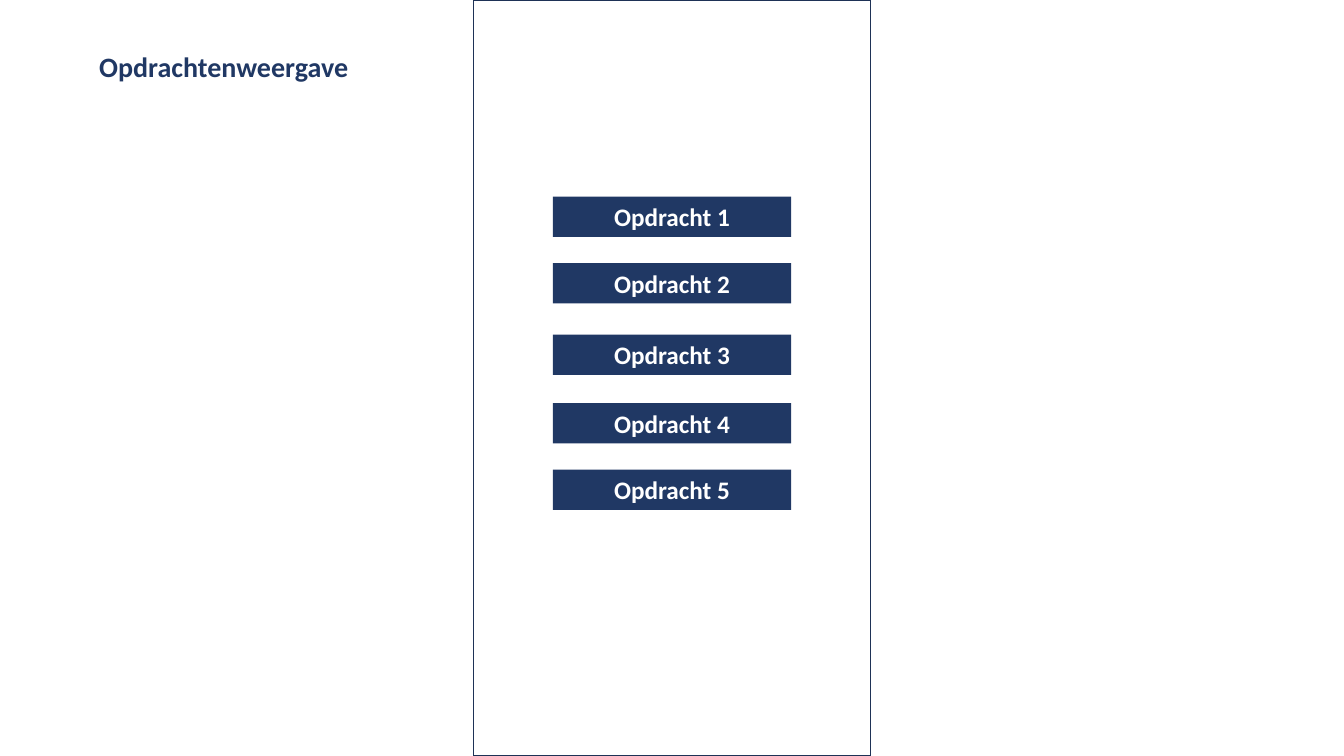
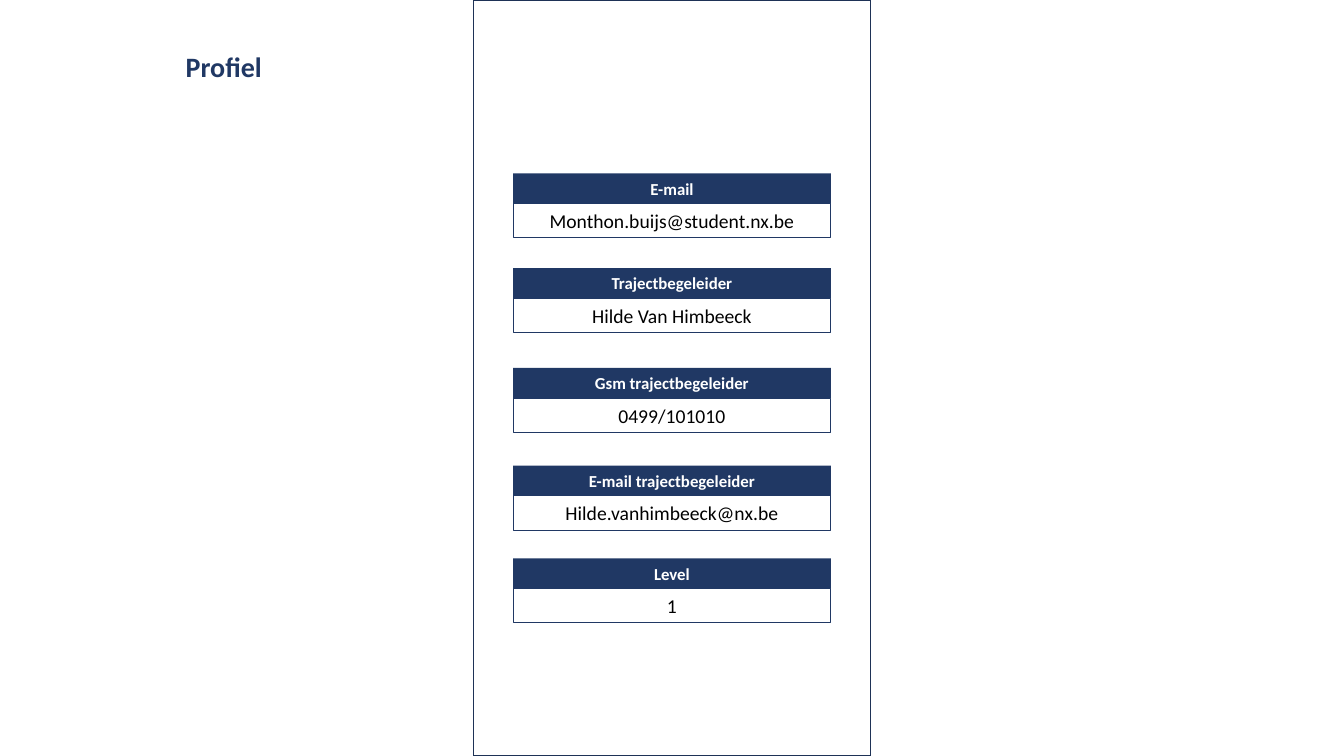
from pptx import Presentation
from pptx.dml.color import RGBColor
from pptx.enum.shapes import MSO_SHAPE
from pptx.enum.text import MSO_ANCHOR, PP_ALIGN
from pptx.util import Inches, Pt

RECT = MSO_SHAPE.RECTANGLE
CENTER = PP_ALIGN.CENTER
MIDDLE = MSO_ANCHOR.MIDDLE

# Content: each entry starts with its top in inches
ASSIGNMENTS = [
    (1.95, "Opdracht 1"),
    (2.61, "Opdracht 2"),
    (3.32, "Opdracht 3"),
    (4.00, "Opdracht 4"),
    (4.66, "Opdracht 5"),
]
PROFILE = [
    (1.72, "E-mail", "Monthon.buijs@student.nx.be"),
    (2.66, "Trajectbegeleider", "Hilde Van Himbeeck"),
    (3.65, "Gsm trajectbegeleider", "0499/101010"),
    (4.62, "E-mail trajectbegeleider", "Hilde.vanhimbeeck@nx.be"),
    (5.54, "Level", "1"),
]

# Shared style
COLORS = {"navy": "203864", "frame": "1E3256", "white": "FFFFFF", "black": "000000"}
FONT = "Calibri"
SLIDE_W, SLIDE_H = 13.33, 7.5
SCREEN_W = 3.94
BUTTON_W, BUTTON_H = SCREEN_W * 0.6, 0.4
FIELD_W, LABEL_H, VALUE_H = SCREEN_W * 0.8, 0.3, 0.34


def color(name):
    return RGBColor.from_string(COLORS[name])


def add_text(sp, text, size, ink, bold=False):
    tf = sp.text_frame
    tf.word_wrap = True
    tf.vertical_anchor = MIDDLE
    p = tf.paragraphs[0]
    p.alignment = CENTER
    r = p.add_run()
    r.text = text
    r.font.name = FONT
    r.font.size = Pt(size)
    r.font.bold = bold
    r.font.color.rgb = color(ink)


def add_box(shapes, top, width, height, fill=None, line=None, weight=0.75):
    """Add a rectangle centred across the slide."""
    left = (SLIDE_W - width) / 2
    sp = shapes.add_shape(RECT, Inches(left), Inches(top), Inches(width), Inches(height))
    sp.shadow.inherit = False
    if fill:
        sp.fill.solid()
        sp.fill.fore_color.rgb = color(fill)
    else:
        sp.fill.background()
    if line:
        sp.line.color.rgb = color(line)
        sp.line.width = Pt(weight)
    else:
        sp.line.fill.background()
    return sp


def add_screen(prs, title):
    """Add a slide with the phone screen frame and its title."""
    s = prs.slides.add_slide(prs.slide_layouts[6])
    add_box(s.shapes, 0, SCREEN_W, SLIDE_H, line="frame", weight=1)
    sp = s.shapes.add_textbox(Inches(0.55), Inches(0.44), Inches(3.34), Inches(0.44))
    add_text(sp, title, 20, "navy", bold=True)
    return s


def add_assignments(prs):
    s = add_screen(prs, "Opdrachtenweergave")
    for top, name in ASSIGNMENTS:
        sp = add_box(s.shapes, top, BUTTON_W, BUTTON_H, fill="navy")
        add_text(sp, name, 18, "white", bold=True)


def add_profile(prs):
    s = add_screen(prs, "Profiel")
    for top, label, value in PROFILE:
        field = s.shapes.add_group_shape().shapes
        sp = add_box(field, top, FIELD_W, LABEL_H, fill="navy")
        add_text(sp, label, 12, "white", bold=True)
        sp = add_box(field, top + LABEL_H, FIELD_W, VALUE_H, line="navy")
        add_text(sp, value, 14, "black")


def main():
    prs = Presentation()
    prs.slide_width, prs.slide_height = Inches(SLIDE_W), Inches(SLIDE_H)
    add_assignments(prs)
    add_profile(prs)
    prs.save("out.pptx")


if __name__ == "__main__":
    main()
